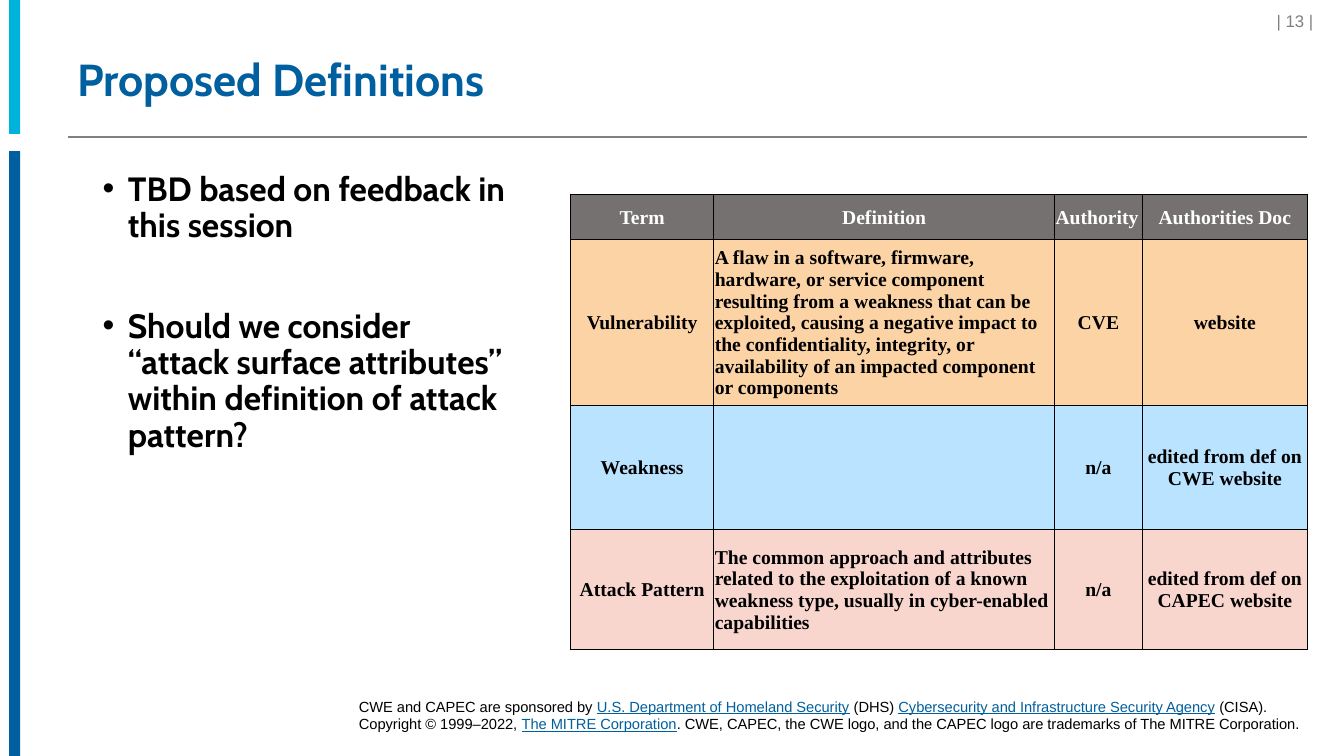
from lxml import etree
from pptx import Presentation
from pptx import util as u
from pptx.dml.color import RGBColor
from pptx.enum import shapes, text
from pptx.oxml import ns

COLORS = {
    "cyan": "00B3DC", "blue": "005F9E", "gray": "808080", "black": "000000",
    "white": "FFFFFF", "header": "757171", "orange": "FCD3A5",
    "sky": "B9E3FF", "pink": "F8D6CE",
}
LEFT, CENTER, RIGHT = text.PP_ALIGN.LEFT, text.PP_ALIGN.CENTER, text.PP_ALIGN.RIGHT
TOP, MIDDLE = text.MSO_ANCHOR.TOP, text.MSO_ANCHOR.MIDDLE


def rgb(name):
    return RGBColor.from_string(COLORS[name])


def inches(values):
    return [u.Inches(value) for value in values]


class SlideBuilder:
    heading_font, plain_font, table_font = "Cabin", "Arial", "Times New Roman"

    def __init__(self, slide):
        self.slide = slide

    def style(self, run, font, size, color, bold=False, underline=False):
        run.font.name = font
        run.font.size = u.Pt(size)
        run.font.color.rgb = rgb(color)
        run.font.bold = bold
        run.font.underline = underline

    def bar(self, box, color):
        bar = self.slide.shapes.add_shape(shapes.MSO_SHAPE.RECTANGLE, *inches(box))
        bar.shadow.inherit = False
        bar.fill.solid()
        bar.fill.fore_color.rgb = rgb(color)
        bar.line.fill.background()

    def rule(self, ends, color, width):
        rule = self.slide.shapes.add_connector(
            shapes.MSO_CONNECTOR.STRAIGHT, *inches(ends))
        rule.line.color.rgb = rgb(color)
        rule.line.width = u.Pt(width)
        etree.SubElement(rule._element.spPr, ns.qn("a:effectLst"))

    def frame(self, box, anchor=TOP):
        frame = self.slide.shapes.add_textbox(*inches(box)).text_frame
        frame.word_wrap = True
        frame.vertical_anchor = anchor
        return frame

    def label(self, box, words, font, size, color, bold=False,
              align=LEFT, anchor=TOP, spacing=None):
        frame = self.frame(box, anchor)
        frame.text = words
        line = frame.paragraphs[0]
        line.alignment = align
        line.line_spacing = spacing
        self.style(line.runs[0], font, size, color, bold)

    def bullets(self, box, points, gap):
        frame = self.frame(box)
        for index, words in enumerate(points):
            point = frame.add_paragraph() if index else frame.paragraphs[0]
            point.text = words
            point.line_spacing = 0.9
            point.space_before = u.Pt(gap if index else 0)
            props = point._p.get_or_add_pPr()
            props.set("marL", str(u.Inches(0.25)))
            props.set("indent", str(-u.Inches(0.25)))
            etree.SubElement(props, ns.qn("a:buFont"), typeface="Arial")
            etree.SubElement(props, ns.qn("a:buChar"), char="•")
            self.style(point.runs[0], self.heading_font, 24, "black", True)

    def credits(self, box, parts):
        frame = self.frame(box)
        frame.margin_left = frame.margin_right = u.Inches(0.05)
        for words, linked in parts:
            run = frame.paragraphs[0].add_run()
            run.text = words
            self.style(run, self.plain_font, 10.5,
                       "blue" if linked else "black", underline=linked)

    def borders(self, cell, widths):
        props = cell._tc.get_or_add_tcPr()
        for index, (side, width) in enumerate(zip("LRTB", widths)):
            line = etree.Element(ns.qn(f"a:ln{side}"), w=str(u.Pt(width)))
            fill = etree.SubElement(line, ns.qn("a:solidFill"))
            etree.SubElement(fill, ns.qn("a:srgbClr"), val=COLORS["black"])
            props.insert(index, line)

    def table(self, origin, widths, heights, rows, fills):
        size = (sum(widths), sum(heights))
        table = self.slide.shapes.add_table(
            len(rows), len(widths), *inches(origin + size)).table
        table.first_row = table.horz_banding = False
        for column, width in zip(table.columns, widths):
            column.width = u.Inches(width)
        for r, (row, height, words) in enumerate(zip(table.rows, heights, rows)):
            row.height = u.Inches(height)
            for c, (cell, entry) in enumerate(zip(row.cells, words)):
                cell.fill.solid()
                cell.fill.fore_color.rgb = rgb(fills[r])
                cell.vertical_anchor = MIDDLE
                cell.margin_left = cell.margin_right = cell.margin_top = u.Inches(0.01)
                cell.margin_bottom = 0
                self.borders(cell, (1 if r and c == 0 else 0.5,
                                    1 if r and c == len(widths) - 1 else 0.5,
                                    1 if r else 0.5, 1))
                cell.text_frame.text = entry
                line = cell.text_frame.paragraphs[0]
                flush_left = c == 1 if r else c == 2
                line.alignment = LEFT if flush_left else CENTER
                for run in line.runs:
                    self.style(run, self.table_font, 14,
                               "black" if r else "white", True)


def main():
    deck = Presentation()
    deck.slide_width, deck.slide_height = u.Inches(13.33), u.Inches(7.5)
    page = SlideBuilder(deck.slides.add_slide(deck.slide_layouts[6]))

    page.bar((0.09, 0, 0.11, 1.33), "cyan")
    page.bar((0.09, 1.5, 0.11, 6), "blue")
    page.rule((0.67, 1.36, 12.96, 1.36), "gray", 1)
    page.credits((3.51, 6.87, 9.54, 0.45), [
        ("CWE and CAPEC are sponsored by ", False),
        ("U.S. Department of Homeland Security", True),
        (" (DHS) ", False),
        ("Cybersecurity and Infrastructure Security Agency", True),
        (" (CISA). Copyright © 1999–2022, ", False),
        ("The MITRE Corporation", True),
        (". CWE, CAPEC, the CWE logo, and the CAPEC logo are trademarks of "
         "The MITRE Corporation.", False),
    ])
    page.label((0.67, 0.4, 12.29, 0.82), "Proposed Definitions",
               page.heading_font, 32, "blue", True, anchor=MIDDLE, spacing=0.9)
    page.bullets((0.92, 1.66, 4.22, 4.76), [
        "TBD based on feedback in this session",
        "Should we consider “attack surface attributes” within definition of "
        "attack pattern?",
    ], gap=46)
    page.label((11.24, 0.06, 1.93, 0.28), "| 13 | ",
               page.plain_font, 12, "gray", align=RIGHT)
    page.table((5.66, 1.93), (1.42, 3.38, 0.87, 1.64), (0.45, 1.52, 1.23, 1.19), [
        ("Term", "Definition", "Authority", "Authorities Doc"),
        ("Vulnerability",
         "A flaw in a software, firmware, hardware, or service component "
         "resulting from a weakness that can be exploited, causing a negative "
         "impact to the confidentiality, integrity, or availability of an "
         "impacted component or components", "CVE", "website"),
        ("Weakness", "", "n/a", "edited from def on CWE website"),
        ("Attack Pattern",
         "The common approach and attributes related to the exploitation of a "
         "known weakness type, usually in cyber-enabled capabilities",
         "n/a", "edited from def on CAPEC website"),
    ], ("header", "orange", "sky", "pink"))

    deck.save("out.pptx")


if __name__ == "__main__":
    main()
